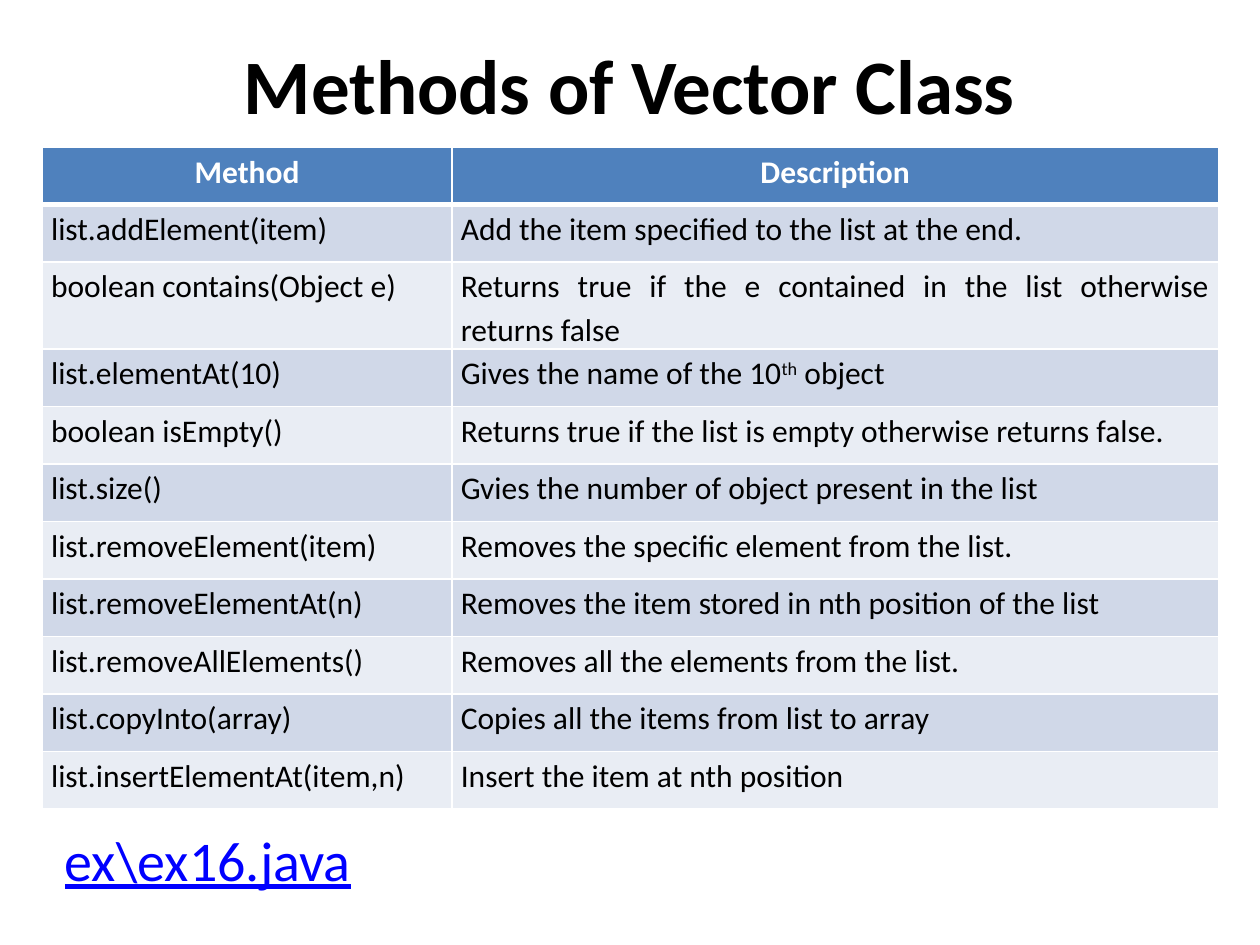
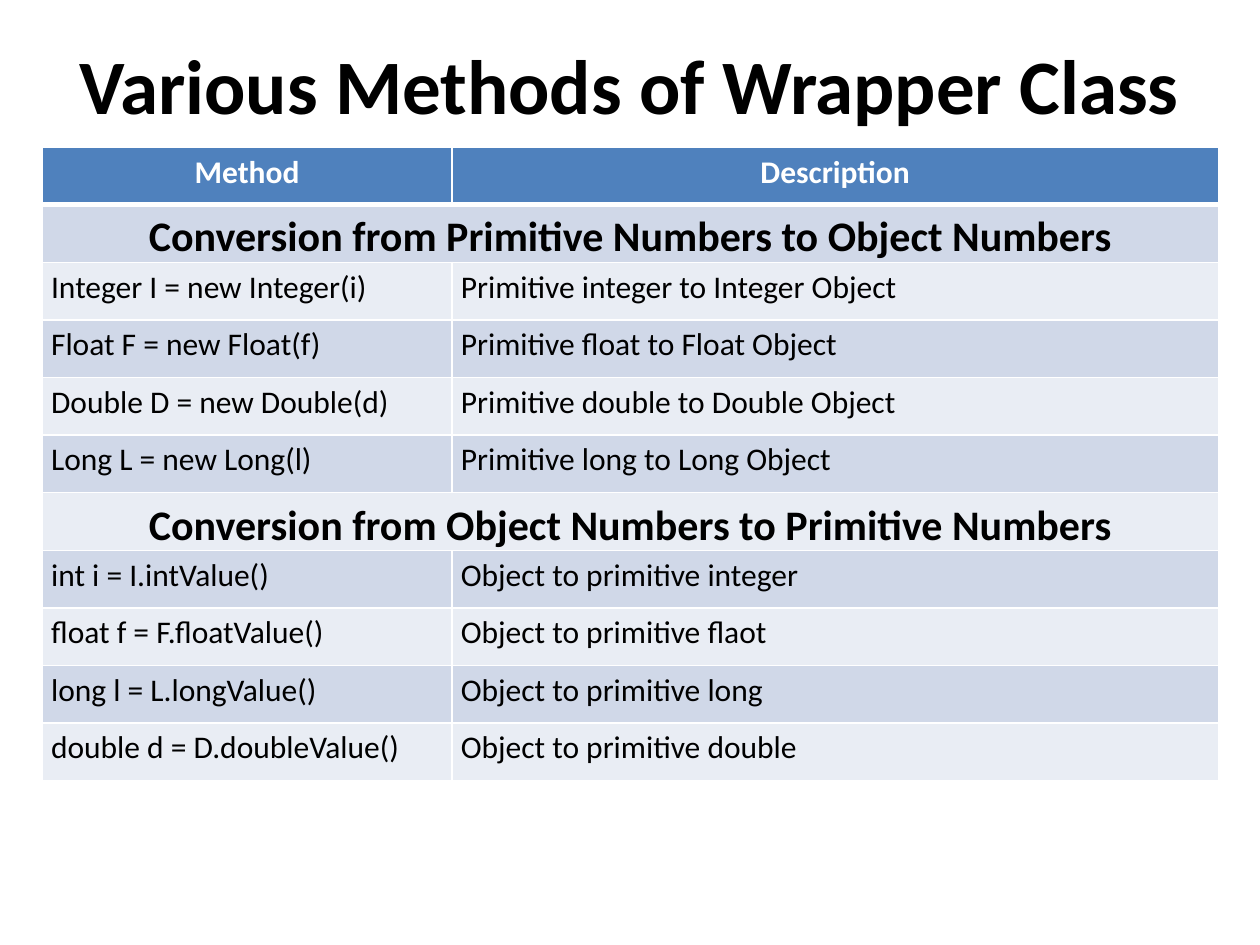
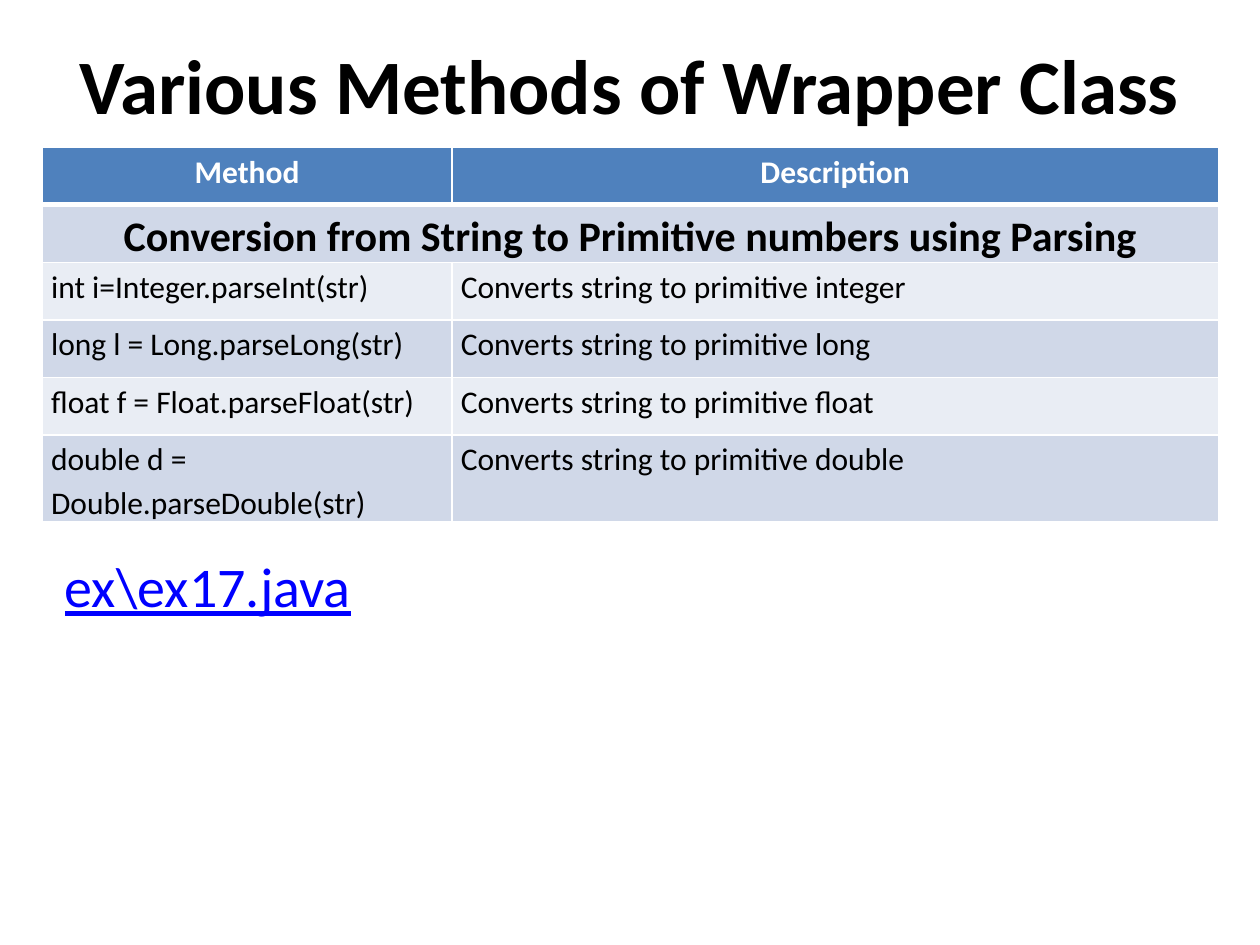
from lxml import etree
from pptx import Presentation
from pptx import util as u
from pptx.dml.color import RGBColor
from pptx.enum import text
from pptx.oxml.ns import qn

CENTER, LEFT, JUSTIFY = text.PP_ALIGN.CENTER, text.PP_ALIGN.LEFT, text.PP_ALIGN.JUSTIFY


def rgb(color):
    return RGBColor.from_string(color)


class Deck:
    """Holds the shared style and the current slide."""
    font = "Calibri"
    black, white, link_blue = "000000", "FFFFFF", "0000FF"
    header_fill = "4F81BD"
    bands = ("D0D8E8", "E9EDF4")
    left, top = 0.85, 2.96
    col_widths = (8.26, 15.45)
    row_height = 1.16

    def __init__(self):
        self.prs = Presentation()
        self.prs.slide_width, self.prs.slide_height = u.Cm(25.4), u.Cm(19.05)
        self.s = None

    def slide(self, title):
        self.s = self.prs.slides.add_slide(self.prs.slide_layouts[6])
        self.text_box(title, 0, 0.42, 25.4, 2.54, 44, CENTER,
                      anchor=text.MSO_ANCHOR.MIDDLE, bold=True)

    def run(self, p, words, size, color=black, bold=False, underline=False, raised=False):
        r = p.add_run()
        r.text = words
        f = r.font
        f.name, f.size, f.bold = self.font, u.Pt(size), bold
        f.color.rgb = rgb(color)
        if underline:
            f.underline = True
        if raised:
            r._r.get_or_add_rPr().set("baseline", "30000")

    def text_box(self, words, x, y, w, h, size, align, anchor=text.MSO_ANCHOR.TOP, **style):
        tf = self.s.shapes.add_textbox(u.Cm(x), u.Cm(y), u.Cm(w), u.Cm(h)).text_frame
        tf.word_wrap = True
        tf.vertical_anchor = anchor
        p = tf.paragraphs[0]
        p.alignment = align
        self.run(p, words, size, **style)

    def file_name(self, words, y):
        self.text_box(words, 1.06, y, 23.07, 1.62, 32, JUSTIFY,
                      color=self.link_blue, underline=True)

    def borders(self, cell, top=1, bottom=1):
        tc_pr = cell._tc.get_or_add_tcPr()
        for side, width in (("L", 1), ("R", 1), ("T", top), ("B", bottom)):
            ln = etree.SubElement(tc_pr, qn(f"a:ln{side}"), w=str(u.Pt(width)))
            fill = etree.SubElement(ln, qn("a:solidFill"))
            etree.SubElement(fill, qn("a:srgbClr"), val=self.white)

    def paint(self, cell, color, **widths):
        self.borders(cell, **widths)
        cell.fill.solid()
        cell.fill.fore_color.rgb = rgb(color)

    def body_paragraph(self, cell, align):
        cell.margin_left = cell.margin_right = u.Cm(0.18)
        cell.margin_top = cell.margin_bottom = 0
        p = cell.text_frame.paragraphs[0]
        p.alignment, p.line_spacing = align, 1.15
        return p

    def method_table(self, rows, justified=0):
        """A row with one text is a section heading across both columns.

        A "^" in a text sets off a raised part; the first `justified` rows are justified.
        """
        count = len(rows) + 1
        table = self.s.shapes.add_table(
            count, 2, u.Cm(self.left), u.Cm(self.top),
            u.Cm(sum(self.col_widths)), u.Cm(self.row_height * count)).table
        for column, width in zip(table.columns, self.col_widths):
            column.width = u.Cm(width)
        for row in table.rows:
            row.height = u.Cm(self.row_height)

        # Header row
        for cell, words in zip(table.rows[0].cells, ("Method", "Description")):
            self.paint(cell, self.header_fill, bottom=3)
            p = cell.text_frame.paragraphs[0]
            p.alignment = CENTER
            self.run(p, words, 18, self.white, bold=True)

        # Banded body rows
        for i, texts in enumerate(rows):
            cells = list(table.rows[i + 1].cells)
            for cell in cells:
                self.paint(cell, self.bands[i % 2], top=1 if i else 3)
            if len(texts) == 1:
                cells[0].merge(cells[1])
                self.run(self.body_paragraph(cells[0], CENTER), texts[0], 24, bold=True)
                continue
            for cell, words in zip(cells, texts):
                p = self.body_paragraph(cell, JUSTIFY if i < justified else LEFT)
                for k, part in enumerate(words.split("^")):
                    self.run(p, part, 18, raised=k % 2 == 1)


VECTOR_METHODS = [
    ("list.addElement(item)", "Add the item specified to the list at the end."),
    ("boolean contains(Object e)",
     "Returns true if the e contained in the list otherwise returns false"),
    ("list.elementAt(10)", "Gives the name of the 10^th^ object"),
    ("boolean isEmpty()", "Returns true if the list is empty otherwise returns false."),
    ("list.size()", "Gvies the number of object present in the list"),
    ("list.removeElement(item)", "Removes the specific element from the list."),
    ("list.removeElementAt(n)", "Removes the item stored in nth position of the list"),
    ("list.removeAllElements()", "Removes all the elements from the list."),
    ("list.copyInto(array)", "Copies all the items from list to array"),
    ("list.insertElementAt(item,n)", "Insert the item at nth position"),
]

NUMBER_CONVERSIONS = [
    ("Conversion from Primitive Numbers to Object Numbers",),
    ("Integer I = new Integer(i)", "Primitive integer to Integer Object"),
    ("Float F = new Float(f)", "Primitive float to Float Object"),
    ("Double D = new Double(d)", "Primitive double to Double Object"),
    ("Long L = new Long(l)", "Primitive long to Long Object"),
    ("Conversion from Object Numbers to Primitive Numbers",),
    ("int i = I.intValue()", "Object to primitive integer"),
    ("float f = F.floatValue()", "Object to primitive flaot"),
    ("long l = L.longValue()", "Object to primitive long"),
    ("double d = D.doubleValue()", "Object to primitive double"),
]

STRING_PARSING = [
    ("Conversion from String to Primitive numbers using Parsing",),
    ("int i=Integer.parseInt(str)", "Converts string to primitive integer"),
    ("long l = Long.parseLong(str)", "Converts string to primitive long"),
    ("float f = Float.parseFloat(str)", "Converts string to primitive float"),
    ("double d = Double.parseDouble(str)", "Converts string to primitive double"),
]

WRAPPER_TITLE = "Various Methods of Wrapper Class"


def main():
    deck = Deck()

    # Vector methods
    deck.slide("Methods of Vector Class")
    deck.method_table(VECTOR_METHODS, justified=2)
    deck.file_name("ex\\ex16.java", 16.51)

    # Wrapper conversions between numbers
    deck.slide(WRAPPER_TITLE)
    deck.method_table(NUMBER_CONVERSIONS)

    # Wrapper conversions from strings
    deck.slide(WRAPPER_TITLE)
    deck.method_table(STRING_PARSING)
    deck.file_name("ex\\ex17.java", 11)

    deck.prs.save("out.pptx")


if __name__ == "__main__":
    main()
